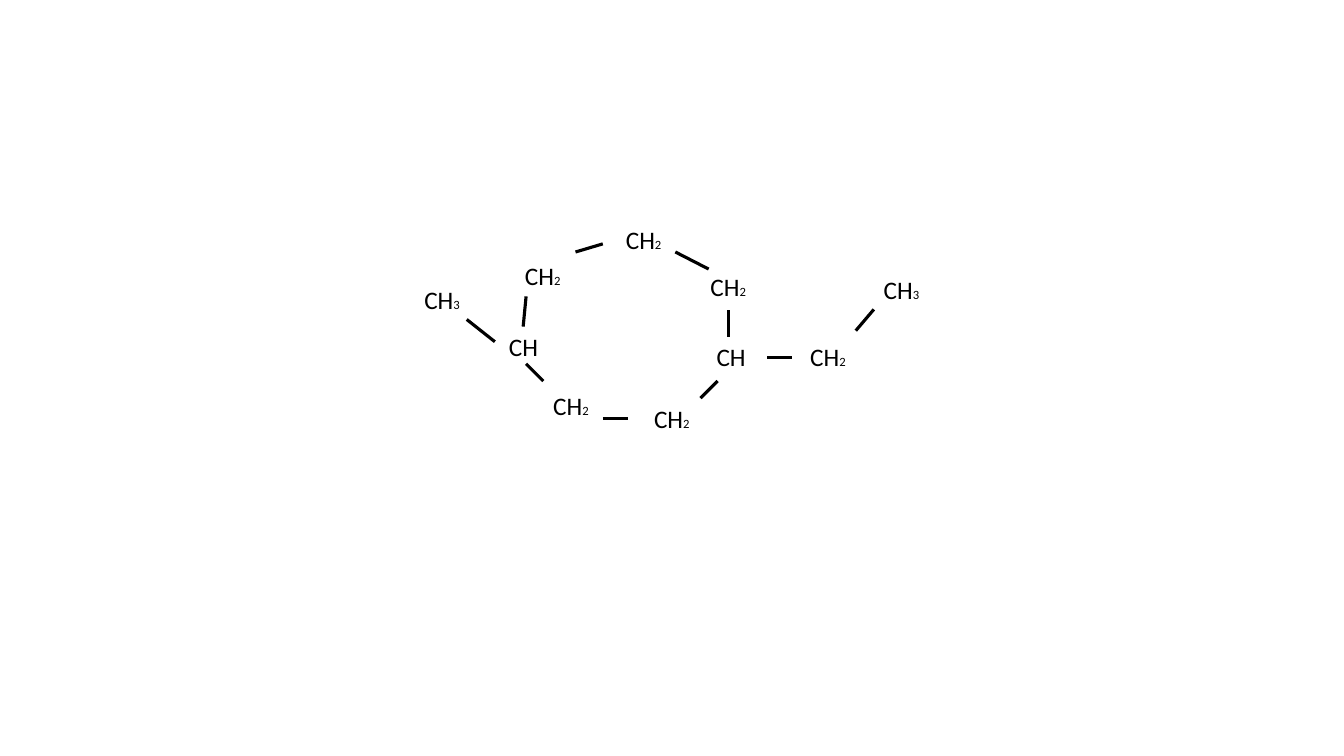
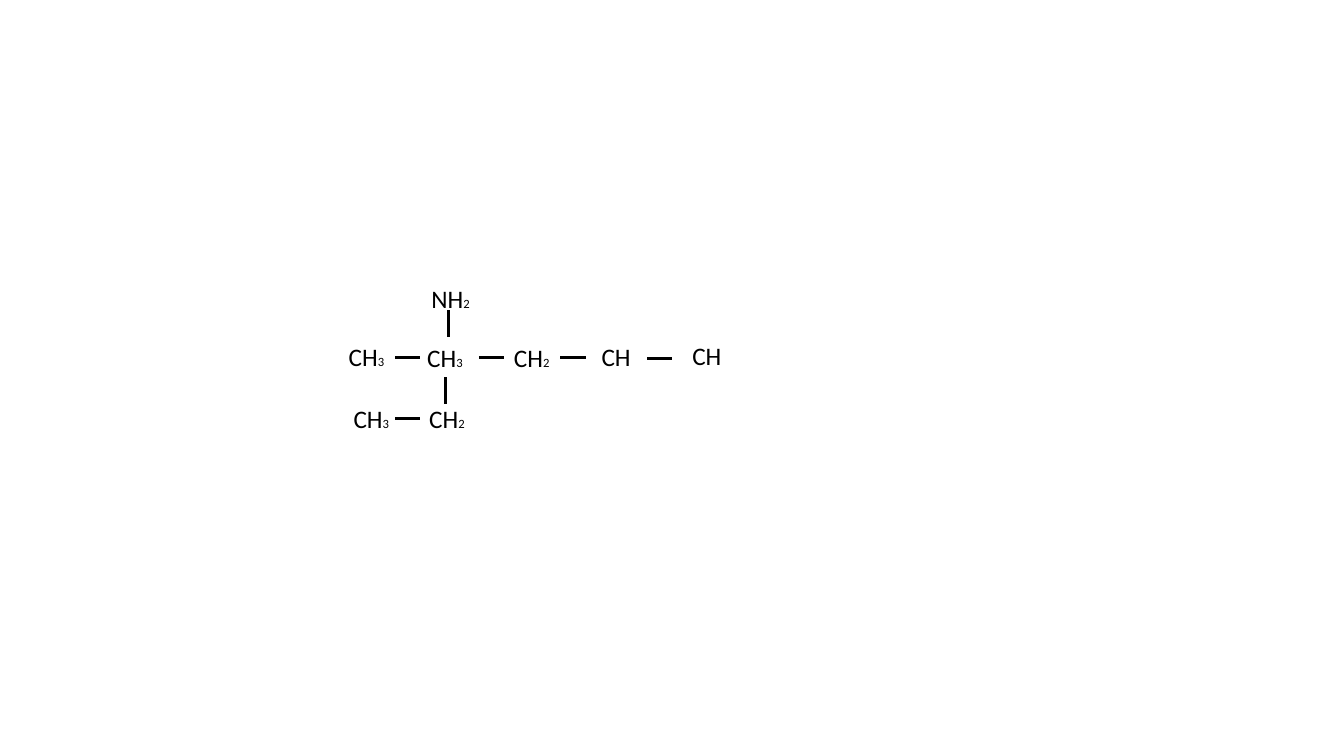
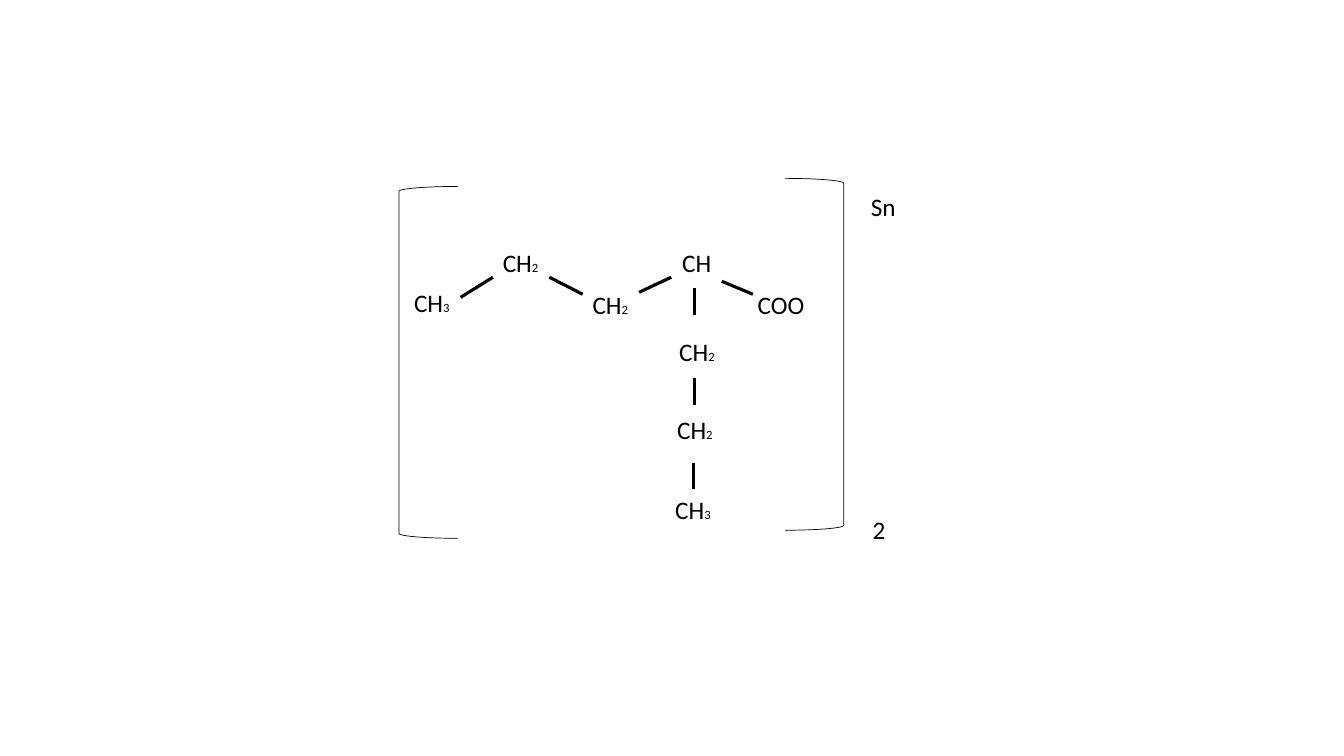
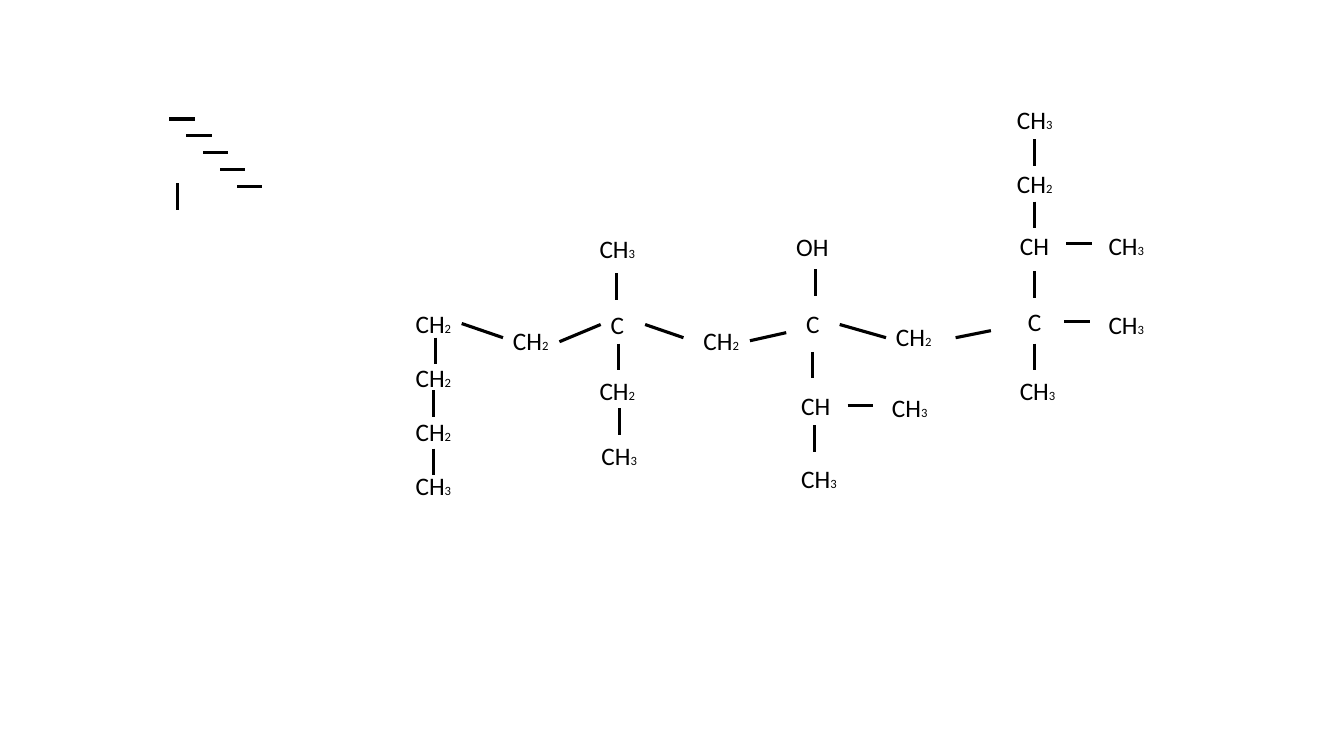
from dataclasses import dataclass

from lxml.etree import SubElement
from pptx import Presentation
from pptx.dml.color import RGBColor
from pptx.enum.shapes import MSO_CONNECTOR, MSO_SHAPE
from pptx.enum.text import MSO_AUTO_SIZE
from pptx.oxml.ns import qn
from pptx.util import Pt


@dataclass(frozen=True)
class Theme:
    """Colours, type and line sizes shared by all slides, in points."""

    ink: RGBColor = RGBColor(0, 0, 0)
    font: str = "Calibri"
    atom_size: float = 18
    count_size: float = 9
    bond_weight: float = 2.25
    bracket_weight: float = 0.5
    level_length: float = 18
    upright_length: float = 19
    label_height: float = 29


THEME = Theme()
LABEL_WIDTHS = {
    "C": 24.5, "CH": 35.3, "CH2": 40.3, "CH3": 40.3, "NH2": 42.5,
    "OH": 38.2, "COO": 48.2, "Sn": 32.4, "2": 23.8,
}


def add_run(paragraph, text, *, size=THEME.atom_size, color=THEME.ink, font=THEME.font):
    """Append formatted text to a paragraph."""
    run = paragraph.add_run()
    run.text = text
    run.font.name = font
    run.font.size = Pt(size)
    run.font.color.rgb = color


def add_group(slide, text, left, top):
    """Place an atom group, with its trailing count in small type."""
    shape = slide.shapes.add_textbox(
        Pt(left), Pt(top), Pt(LABEL_WIDTHS[text]), Pt(THEME.label_height))
    frame = shape.text_frame
    frame.word_wrap = False
    frame.auto_size = MSO_AUTO_SIZE.SHAPE_TO_FIT_TEXT
    atoms = text.rstrip("23") or text
    add_run(frame.paragraphs[0], atoms)
    if atoms != text:
        add_run(frame.paragraphs[0], text[len(atoms):], size=THEME.count_size)


def add_bond(slide, start_x, start_y, end_x, end_y):
    """Draw one bond between two points."""
    bond = slide.shapes.add_connector(
        MSO_CONNECTOR.STRAIGHT, Pt(start_x), Pt(start_y), Pt(end_x), Pt(end_y))
    bond.line.color.rgb = THEME.ink
    bond.line.width = Pt(THEME.bond_weight)
    SubElement(bond._element.spPr, qn("a:effectLst"))


def add_bracket(slide, left, top, rotation=0):
    """Draw a tall bracket, turned by the given angle."""
    shape = slide.shapes.add_shape(
        MSO_SHAPE.LEFT_BRACKET, Pt(left), Pt(top), Pt(41.8), Pt(251.3))
    shape.rotation = rotation
    shape.shadow.inherit = False
    shape.fill.background()
    shape.line.color.rgb = THEME.ink
    shape.line.width = Pt(THEME.bracket_weight)


def add_molecule(slide, left, top, *, groups=(), levels=(), uprights=(), slants=()):
    """Place groups and bonds relative to the corner of the molecule."""
    for text, x, y in groups:
        add_group(slide, text, left + x, top + y)
    bonds = [
        *((x, y, x + THEME.level_length, y) for x, y in levels),
        *((x, y, x, y + THEME.upright_length) for x, y in uprights),
        *slants,
    ]
    for start_x, start_y, end_x, end_y in bonds:
        add_bond(slide, left + start_x, top + start_y, left + end_x, top + end_y)


def draw_ring(slide, left, top):
    """Draw the six-membered ring with its two side chains."""
    add_molecule(
        slide, left, top,
        groups=[
            ("CH2", 144, 0), ("CH2", 204.4, 33.1), ("CH", 208.7, 83.5),
            ("CH2", 164.1, 127.4), ("CH2", 92.1, 118), ("CH", 60.4, 76.3),
            ("CH2", 71.9, 25.2), ("CH3", 0, 42.4),
            ("CH2", 275.7, 83.5), ("CH3", 328.2, 35.2),
        ],
        levels=[(251.9, 98.6), (134.6, 141.8)],
        uprights=[(224.6, 64.8)],
        slants=[
            (92.1, 115.2, 79.8, 102.9), (115.1, 23, 134.6, 17.2),
            (186.4, 23, 210.2, 35.2), (204.4, 127.4, 216.6, 115.2),
            (57.5, 87.1, 37.4, 71.2), (77.7, 76.3, 79.8, 54.7),
            (315.3, 79.2, 328.2, 64),
        ],
    )


def draw_amine(slide, left, top):
    """Draw the straight chain that carries an amino group."""
    add_molecule(
        slide, left, top,
        groups=[
            ("NH2", 59, 0), ("CH3", 0, 41.5), ("CH3", 56.1, 42.2),
            ("CH2", 118, 42.2), ("CH", 180.6, 41.5), ("CH", 245.4, 40.8),
            ("CH3", 3.5, 85.4), ("CH2", 57.5, 85.4),
        ],
        levels=[(40.2, 56.6), (100, 56.6), (158.3, 56.6), (220.2, 57.3), (40.2, 99.8)],
        uprights=[(78.4, 22.8), (76.2, 70.3)],
    )


def draw_tin_salt(slide, left, top):
    """Draw the bracketed acid residue with its metal and count."""
    add_bracket(slide, left, top + 6.2)
    add_bracket(slide, left + 275.9, top + 0.4, rotation=180)
    add_molecule(
        slide, left, top,
        groups=[
            ("CH3", 3.7, 74.6), ("CH2", 67.1, 45.8), ("CH2", 131.2, 76),
            ("CH", 195.2, 45.8), ("COO", 249.2, 76), ("CH2", 193.1, 109.9),
            ("CH2", 191.6, 165.3), ("CH3", 190.2, 222.2),
            ("Sn", 329.9, 6.2), ("2", 331.3, 236.6),
        ],
        uprights=[(211.1, 78.9), (211.1, 143), (210.4, 203.5)],
        slants=[
            (44, 85.4, 67.1, 71), (107.4, 71, 131.2, 83.2),
            (171.5, 81.8, 194.5, 71), (230.5, 73.9, 252.8, 83.2),
        ],
    )


def draw_spare_bonds(slide, left, top):
    """Draw the staircase of loose bonds."""
    add_molecule(
        slide, left, top,
        levels=[(12.1 * step, 12.1 * step) for step in range(5)],
        uprights=[(5.7, 46)],
    )


def draw_branched_alcohol(slide, left, top):
    """Draw the long branched chain with its hydroxyl group."""
    tail = ("CH2", "CH2", "CH2", "CH3")
    add_molecule(
        slide, left, top,
        groups=[
            *((text, 0.8, 145.7 + 38.6 * row) for row, text in enumerate(tail)),
            ("CH2", 70.3, 158), ("C", 140.1, 146.4), ("CH3", 132.2, 92.4),
            ("CH2", 132.2, 193.2), ("CH3", 133.6, 240), ("CH2", 206.4, 158),
            ("C", 279.8, 145.7), ("OH", 272.6, 91), ("CH", 276.2, 204),
            ("CH3", 341, 205.5), ("CH3", 276.2, 256.6), ("CH2", 343.9, 155.1),
            ("C", 438.2, 144.3), ("CH3", 495.8, 146.4), ("CH3", 432.4, 193.2),
            ("CH", 432.4, 90.3), ("CH3", 495.8, 90.3),
            ("CH2", 430.3, 45.6), ("CH3", 430.3, 0.3),
        ],
        levels=[(471.3, 158.7), (472.8, 103.2), (316.5, 218.4)],
        uprights=[
            (22, 170.2), (20.6, 207.6), (20.6, 249.4),
            (151.6, 124.1), (153.1, 174.5), (153.8, 220.6),
            (293.5, 121.2), (291.3, 180.3), (292.8, 232.8),
            (449.7, 28.4), (450.1, 73), (449.7, 122.7), (449.7, 174.5),
        ],
        slants=[
            (40.8, 160.1, 70.3, 170.2), (110.6, 173.1, 140.1, 160.8),
            (171.8, 160.8, 199.2, 170.2), (246.7, 172.4, 272.6, 166.6),
            (310.8, 160.8, 343.9, 170.2), (393.6, 170.2, 418.8, 165.2),
        ],
    )


def main():
    """Build the four slides and save the presentation."""
    presentation = Presentation()
    presentation.slide_width = Pt(960)
    presentation.slide_height = Pt(540)
    blank_layout = presentation.slide_layouts[6]
    contents = [
        [(draw_ring, 296, 157)],
        [(draw_amine, 242, 199)],
        [(draw_tin_salt, 285, 127)],
        [(draw_spare_bonds, 121, 85), (draw_branched_alcohol, 289, 71)],
    ]
    for regions in contents:
        slide = presentation.slides.add_slide(blank_layout)
        for draw, left, top in regions:
            draw(slide, left, top)
    presentation.save("out.pptx")


if __name__ == "__main__":
    main()
